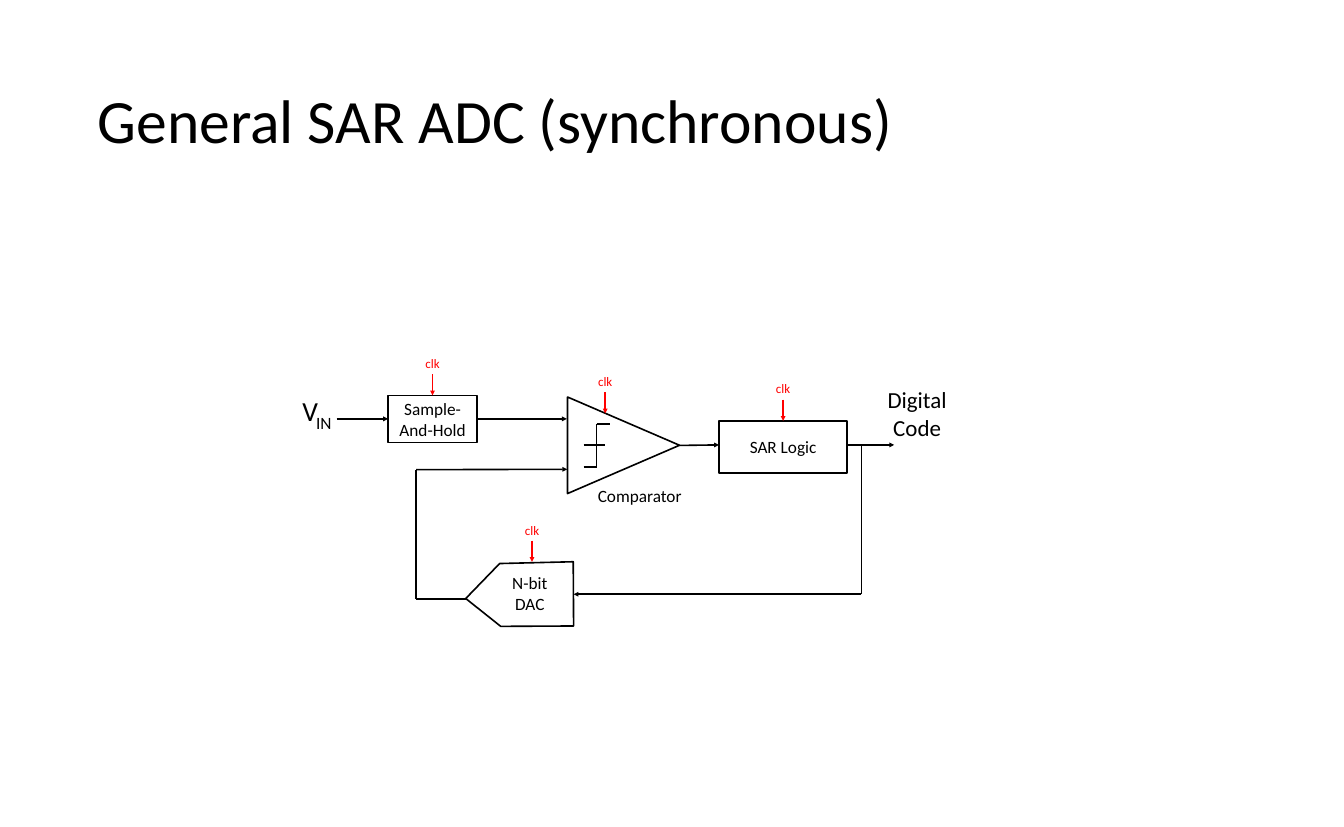
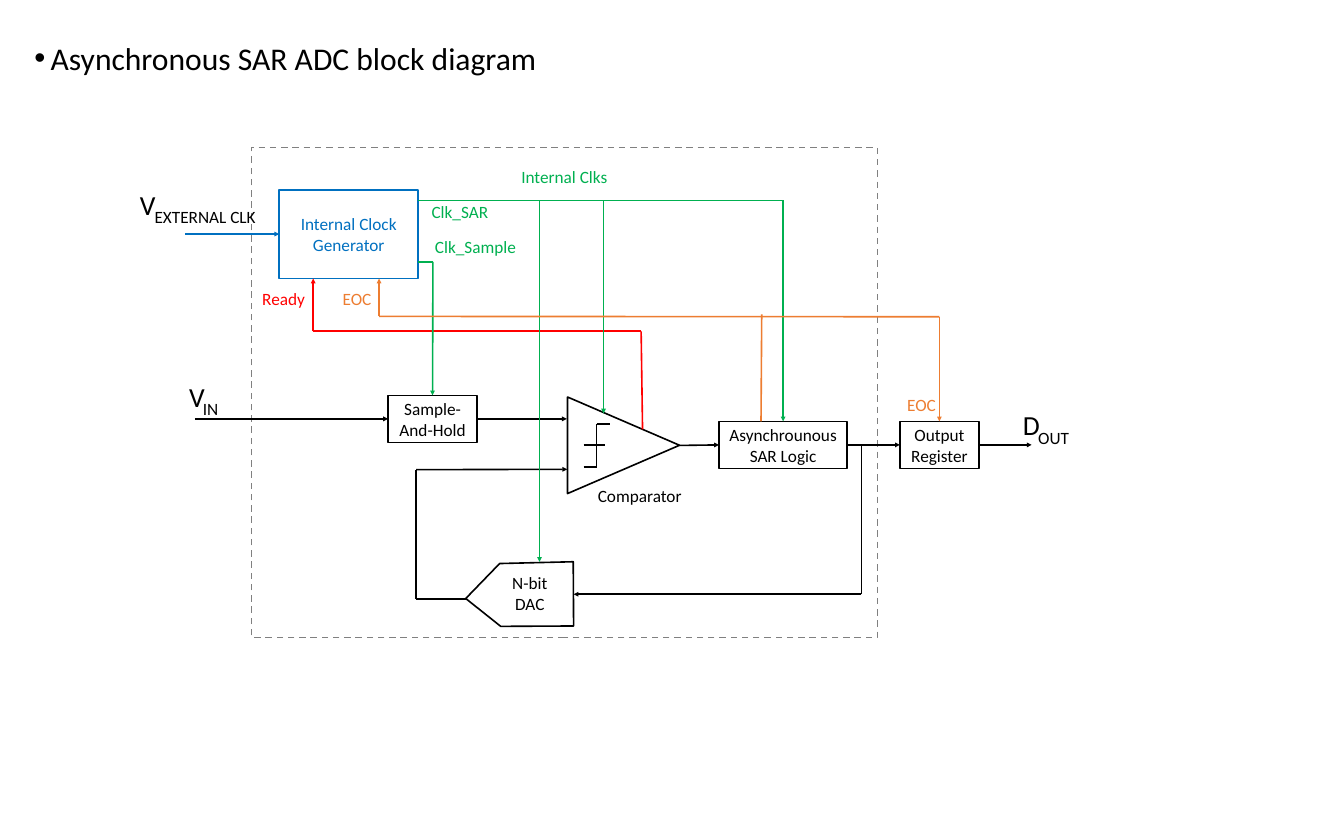
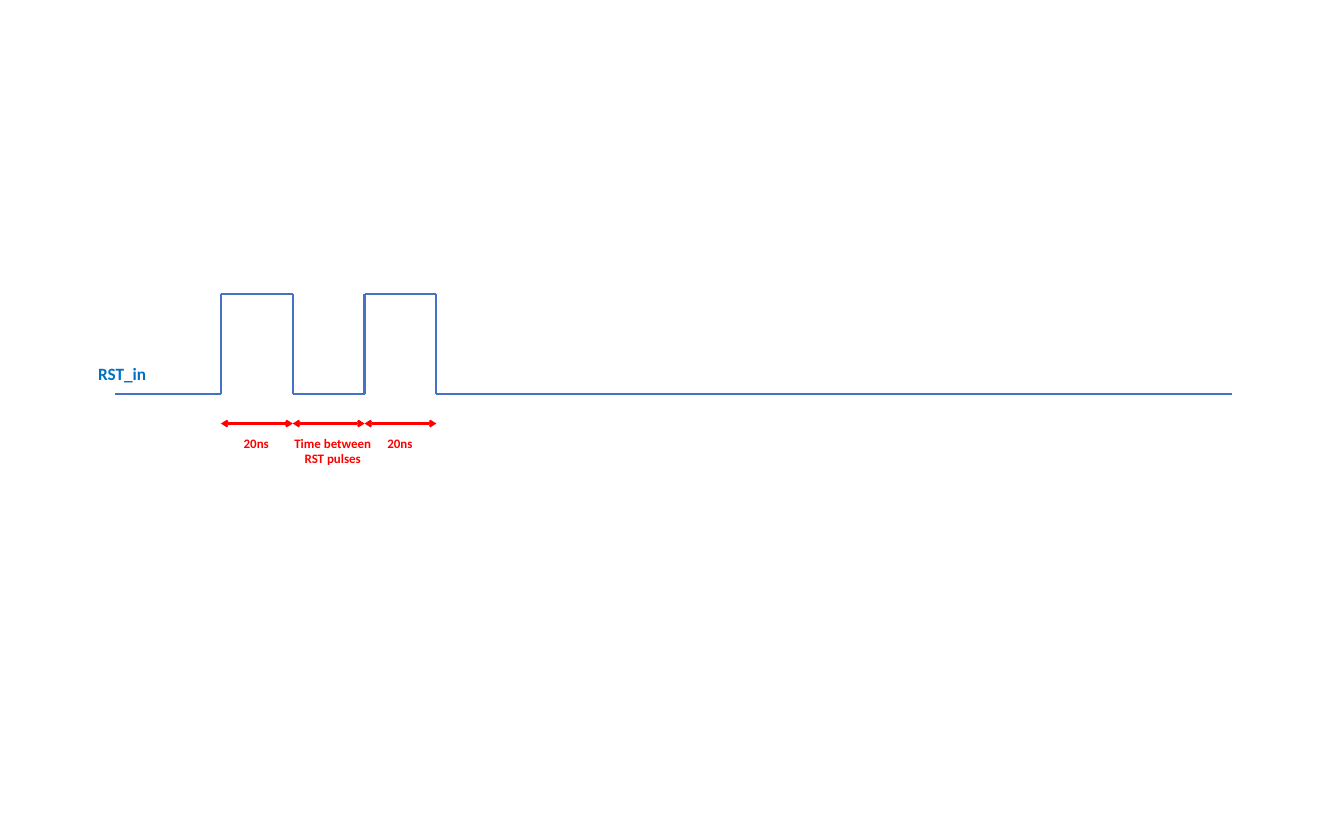
from pptx import Presentation
from pptx import util as u
from pptx.dml.color import RGBColor
from pptx.enum import dml, shapes, text
from pptx.oxml import ns, xmlchemy

Pt = u.Pt
FONT = "Calibri"
COLORS = {
    "black": "000000", "white": "FFFFFF", "red": "FF0000", "green": "00B050",
    "blue": "0070C0", "orange": "ED7D31", "grey": "808080", "pulse": "4472C4",
}
AXIS = 619.75
INPUT_Y = 583.5
DAC_TOP = 782.75
COMPARATOR_CLK_Y = 576
LEFT, CENTER = text.PP_ALIGN.LEFT, text.PP_ALIGN.CENTER
TOP, MIDDLE = text.MSO_ANCHOR.TOP, text.MSO_ANCHOR.MIDDLE


def rgb(name):
    return RGBColor.from_string(COLORS[name])


def add_xml(parent, tag, **attrs):
    el = xmlchemy.OxmlElement(tag)
    for key, value in attrs.items():
        el.set(key, value)
    parent.append(el)


def write(tf, content, size, color, bold=False, align=CENTER, anchor=MIDDLE, wrap=True):
    tf.word_wrap = wrap
    tf.vertical_anchor = anchor
    for i, line in enumerate(content.split("\n")):
        p = tf.add_paragraph() if i else tf.paragraphs[0]
        p.alignment = align
        r = p.add_run()
        r.text = line
        r.font.name = FONT
        r.font.size = Pt(size)
        r.font.bold = bold
        r.font.color.rgb = rgb(color)


def label(s, content, x, y, w, h=36, size=24, color="black", anchor=TOP, **style):
    tf = s.shapes.add_textbox(Pt(x), Pt(y), Pt(w), Pt(h)).text_frame
    write(tf, content, size, color, anchor=anchor, **style)
    return tf


def subscripted(s, base, sub, x, y, sub_w):
    label(s, base, x, y, 96, 54, 38.4)
    label(s, sub, x + 31, y + 26, sub_w)


def outline(sp, color="black", fill=None):
    sp.shadow.inherit = False
    if fill:
        sp.fill.solid()
        sp.fill.fore_color.rgb = rgb(fill)
    else:
        sp.fill.background()
    sp.line.color.rgb = rgb(color)
    sp.line.width = Pt(2.25)
    return sp


def shape(s, kind, x, y, w, h, color="black", fill=None):
    return outline(s.shapes.add_shape(kind, Pt(x), Pt(y), Pt(w), Pt(h)), color, fill)


def block(s, content, x, mid_y, w, h=65.5, color="black", fill=None):
    sp = shape(s, shapes.MSO_SHAPE.RECTANGLE, x, mid_y - h / 2, w, h, color, fill)
    write(sp.text_frame, content, 24, color)
    return sp


def wire(s, color, points, head=None, tail=None, width=2.25, begin=None, end=None):
    last = len(points) - 2
    for i, (a, b) in enumerate(zip(points, points[1:])):
        c = s.shapes.add_connector(shapes.MSO_CONNECTOR.STRAIGHT, *map(Pt, a + b))
        c.line.color.rgb = rgb(color)
        c.line.width = Pt(width)
        if begin and i == 0:
            c.begin_connect(*begin)
        if end and i == last:
            c.end_connect(*end)
        sp_pr = c.element.spPr
        ln = sp_pr.find(ns.qn("a:ln"))
        if head and i == 0:
            add_xml(ln, "a:headEnd", type=head)
        if tail and i == last:
            add_xml(ln, "a:tailEnd", type=tail)
        add_xml(sp_pr, "a:effectLst")


def arrow(s, color, points, **ends):
    wire(s, color, points, tail="triangle", **ends)


def comparator(s):
    tri = shape(s, shapes.MSO_SHAPE.ISOSCELES_TRIANGLE, 801.25, 542.25, 134.5, 156)
    tri.rotation = 90
    wire(s, "black", [(813, 650.75), (831, 650.75), (831, 590.5), (850, 590.5)])
    wire(s, "black", [(813, AXIS), (843, AXIS)])
    label(s, "Comparator", 813, 672.5, 156)


def dac(s):
    fb = s.shapes.build_freeform(Pt(798.5), Pt(782.5))
    corners = [(799, 872), (697.5, 872.5), (648.75, 833.75), (696, 785)]
    fb.add_line_segments([(Pt(x), Pt(y)) for x, y in corners], close=True)
    outline(fb.convert_to_shape())
    label(s, "N-bit\nDAC", 676, 794, 124, 66)


def converter_core(s, logic_text, logic_mid, logic_h, input_x):
    comparator(s)
    dac(s)
    sample = block(s, "Sample-And-Hold", 540.5, INPUT_Y, 124)
    logic = block(s, logic_text, 1001.5, logic_mid, 178.5, logic_h, fill="white")
    logic_input = (logic, 1) if logic_mid == AXIS else None
    arrow(s, "black", [(input_x, INPUT_Y), (540.5, INPUT_Y)], end=(sample, 1))
    arrow(s, "black", [(664.5, INPUT_Y), (789.5, INPUT_Y)], begin=(sample, 3))
    arrow(s, "black", [(946.5, 620.5), (1001.5, AXIS)], end=logic_input)
    arrow(s, "black", [(1199.75, AXIS), (1199.75, 827.75), (799, 827.75)])
    arrow(s, "black", [(648.75, 834), (579.5, 834), (579.5, 654.25), (790, 653.75)])
    return sample, logic


def clk_arrow(s, x, y, end=None):
    arrow(s, "red", [(x, y - 29.5), (x, y)], end=end)
    label(s, "clk", x - 30, y - 59, 60, 29, 18, "red", wrap=False)


def synchronous_slide(s):
    tf = label(s, "General SAR ADC (synchronous)", 129, 61, 1615, 222, 85.8,
               align=LEFT, anchor=MIDDLE)
    tf.paragraphs[0].line_spacing = 0.9
    sample, logic = converter_core(s, "SAR Logic", 622.5, 72.5, 469)
    arrow(s, "black", [(1180, AXIS), (1245.5, AXIS)])
    subscripted(s, "V", "IN", 384, 544.5, 72)
    label(s, "Digital Code", 1212.5, 533.5, 130, 85, 32)
    for x, y, end in [(602.5, 550.75, (sample, 0)), (843, COMPARATOR_CLK_Y, None),
                      (1090.75, 586.25, (logic, 0)), (741, DAC_TOP, None)]:
        clk_arrow(s, x, y, end)


def asynchronous_slide(s):
    tf = label(s, "Asynchronous SAR ADC block diagram", 41, 50.5, 1722, 60, 44, align=LEFT)
    p_pr = tf.paragraphs[0]._p.get_or_add_pPr()
    p_pr.set("marL", str(Pt(22.5)))
    p_pr.set("indent", str(-Pt(22.5)))
    add_xml(p_pr, "a:buFont", typeface="Arial")
    add_xml(p_pr, "a:buChar", char="•")

    chip = shape(s, shapes.MSO_SHAPE.RECTANGLE, 350.25, 205.5, 872, 682.5, "grey")
    chip.line.dash_style = dml.MSO_LINE.DASH
    sample, logic = converter_core(s, "Asynchrounous SAR Logic", AXIS, 65.5, 271.5)
    clock = block(s, "Internal Clock Generator", 389, 326, 193.5, 123.5, "blue", "white")
    register = block(s, "Output Register", 1253.5, AXIS, 110)

    arrow(s, "blue", [(258, 326), (389, 326)], end=(clock, 1))
    arrow(s, "black", [(1180, AXIS), (1253.5, AXIS)], begin=(logic, 3), end=(register, 1))
    arrow(s, "black", [(1363.5, AXIS), (1437, AXIS)], begin=(register, 3))
    arrow(s, "red", [(895, 598), (893, 461.5), (436.25, 461.5), (436.25, 388)])

    arrow(s, "green", [(582.5, 364.75), (603, 364.75), (602.5, 550.75)], end=(sample, 0))
    arrow(s, "green", [(582.5, 279.25), (1090.75, 279.25), (1090.75, 587)], end=(logic, 0))
    for x, y in [(751.5, DAC_TOP), (840.75, COMPARATOR_CLK_Y)]:
        arrow(s, "green", [(x, 279.25), (x, y)])

    wire(s, "orange", [(1060, 587), (1061, 438)])
    arrow(s, "orange", [(1308.5, 441.25), (528, 440.75), (528, 388)])
    arrow(s, "orange", [(1308.5, 441.25), (1308.5, 587)], end=(register, 0))

    subscripted(s, "V", "EXTERNAL CLK", 157.75, 258, 194)
    subscripted(s, "V", "IN", 226.25, 525.5, 72)
    subscripted(s, "D", "OUT", 1388.5, 565.25, 96)
    for content, x, y, w, color in [
        ("Ready", 347, 397.5, 96, "red"),
        ("EOC", 449.25, 397.5, 96, "orange"),
        ("EOC", 1235.5, 546, 96, "orange"),
        ("Clk_SAR", 590.5, 277, 100, "green"),
        ("Clk_Sample", 593.25, 325.5, 138, "green"),
        ("Internal Clks", 716.5, 227.5, 139, "green"),
    ]:
        label(s, content, x, y, w, color=color)


def reset_slide(s):
    low, high = 549, 410
    edges = [307.75 + 100 * i for i in range(4)]
    points, level = [(160.5, low)], low
    for x in edges:
        flipped = low + high - level
        points += [(x, level), (x, flipped)]
        level = flipped
    wire(s, "pulse", points + [(1716, low)], width=3)
    for a, b in zip(edges, edges[1:]):
        wire(s, "red", [(a, 590), (b, 590)], head="arrow", tail="arrow", width=3)
    for content, x, w, h in [("20ns", 332, 50, 29), ("20ns", 532, 50, 29),
                             ("Time between\nRST pulses", 400.5, 126, 51)]:
        label(s, content, x, 603, w, h, 18, "red", bold=True, wrap=False)
    label(s, "RST_in", 129, 502.5, 82, color="blue", bold=True, wrap=False)


def main():
    prs = Presentation()
    prs.slide_width, prs.slide_height = Pt(1872), Pt(1152)
    for build in (synchronous_slide, asynchronous_slide, reset_slide):
        build(prs.slides.add_slide(prs.slide_layouts[6]))
    prs.save("out.pptx")


if __name__ == "__main__":
    main()
